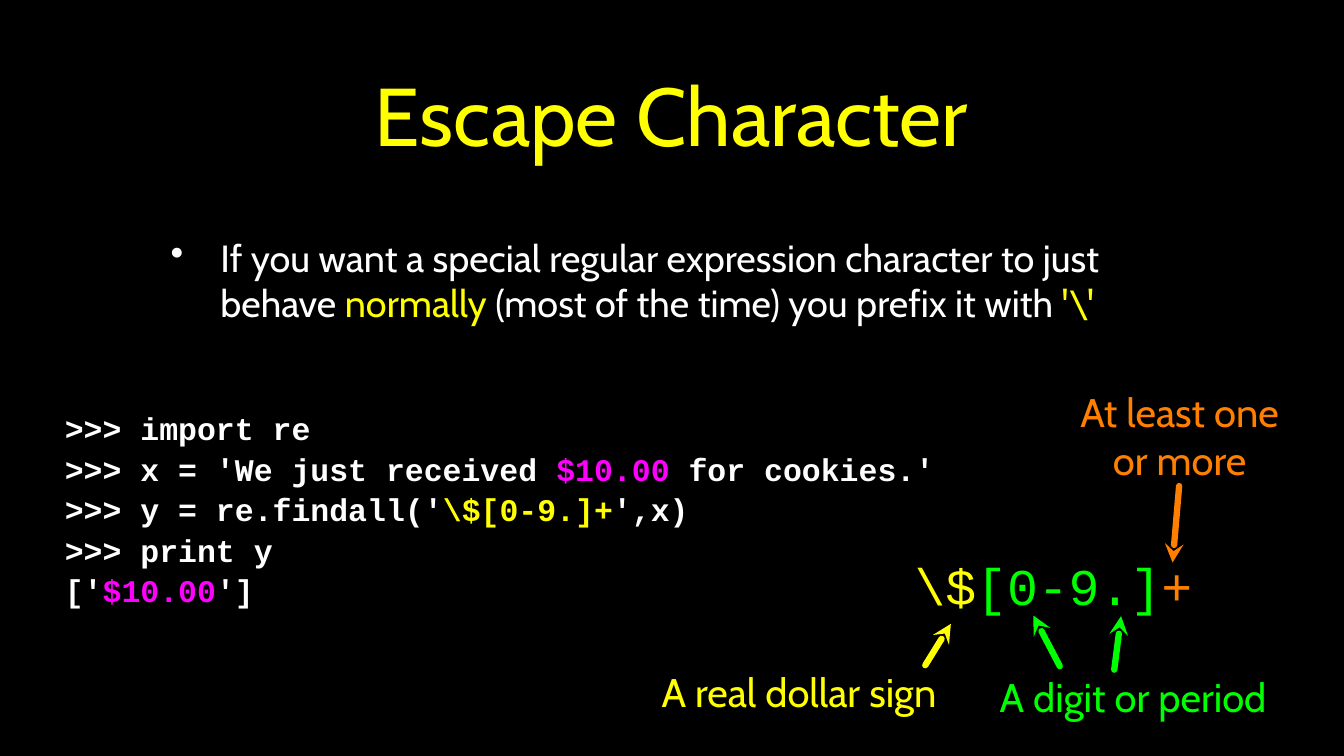
from lxml import etree
from pptx import Presentation
from pptx.dml.color import RGBColor
from pptx.enum.shapes import MSO_CONNECTOR
from pptx.enum.text import MSO_ANCHOR, PP_ALIGN
from pptx.oxml.ns import qn
from pptx.util import Cm, Pt

STRAIGHT = MSO_CONNECTOR.STRAIGHT
MIDDLE = MSO_ANCHOR.MIDDLE
LEFT = PP_ALIGN.LEFT
CENTER = PP_ALIGN.CENTER

BLACK = "000000"
WHITE = "FFFFFF"
YELLOW = "FFFF00"
GREEN = "00FF00"
ORANGE = "FF7F00"
MAGENTA = "FF00FF"


def color(value):
    return RGBColor.from_string(value)


class SlideBuilder:
    body_font = "Cabin"
    code_font = "Courier New"
    label_size = 38
    arrow_width = 6

    def __init__(self, slide):
        self.slide = slide
        fill = slide.background.fill
        fill.solid()
        fill.fore_color.rgb = color(BLACK)

    def text(self, box, lines, size, font=body_font, align=LEFT, bold=False,
             inset=0, spacing=1.0):
        shape = self.slide.shapes.add_textbox(*map(Cm, box))
        frame = shape.text_frame
        frame.word_wrap = True
        frame.vertical_anchor = MIDDLE
        frame.margin_left = frame.margin_right = Cm(inset)
        frame.margin_top = frame.margin_bottom = Cm(inset)
        for index, line in enumerate(lines):
            paragraph = frame.add_paragraph() if index else frame.paragraphs[0]
            paragraph.alignment = align
            paragraph.line_spacing = spacing
            for wording, run_color in line:
                run = paragraph.add_run()
                run.text = wording
                run.font.name = font
                run.font.size = Pt(size)
                run.font.bold = bold
                run.font.color.rgb = color(run_color)
        return frame

    def bullet(self, box, line, size, inset):
        frame = self.text(box, [line], size, inset=inset)
        properties = frame.paragraphs[0]._p.get_or_add_pPr()
        properties.set("marL", str(Cm(3.07)))
        properties.set("indent", str(Cm(-1.68)))
        bullet_color = etree.SubElement(properties, qn("a:buClr"))
        etree.SubElement(bullet_color, qn("a:srgbClr"), val=WHITE)
        etree.SubElement(properties, qn("a:buChar"), char="•")

    def label(self, box, wording, label_color):
        self.text(box, [[(wording, label_color)]], self.label_size, align=CENTER)

    def arrow(self, tip, tail, line_color):
        connector = self.slide.shapes.add_connector(STRAIGHT, *map(Cm, tip + tail))
        connector.line.color.rgb = color(line_color)
        connector.line.width = Pt(self.arrow_width)
        line = connector.line._get_or_add_ln()
        line.set("cap", "rnd")
        etree.SubElement(line, qn("a:round"))
        etree.SubElement(line, qn("a:headEnd"), type="stealth")
        etree.SubElement(connector._element.spPr, qn("a:effectLst"))


def main():
    presentation = Presentation()
    presentation.slide_width = Cm(45.16)
    presentation.slide_height = Cm(25.4)
    builder = SlideBuilder(presentation.slides.add_slide(presentation.slide_layouts[6]))

    builder.text((4.19, 0.66, 36.75, 6.35), [[("Escape Character", YELLOW)]],
                 78, align=CENTER, inset=0.15)
    builder.bullet((4.19, 7.19, 36.75, 4.45), [
        ("If you want a special regular expression character to just behave ", WHITE),
        ("normally", YELLOW),
        (" (most of the time) you prefix it with ", WHITE),
        ("'\\'", YELLOW),
    ], 36, inset=0.15)

    code = [
        [(">>> import re", WHITE)],
        [(">>> x = 'We just received ", WHITE), ("$10.00", MAGENTA),
         (" for cookies.'", WHITE)],
        [(">>> y = re.findall('", WHITE), ("\\$[0-9.]+", YELLOW), ("',x)", WHITE)],
        [(">>> print y", WHITE)],
        [("['", WHITE), ("$10.00", MAGENTA), ("']", WHITE)],
    ]
    builder.text((2.18, 13, 30.07, 8.13), code, 30, builder.code_font,
                 bold=True, spacing=1.07)
    pattern = [("\\$", YELLOW), ("[0-9.]", GREEN), ("+", ORANGE)]
    builder.text((30.73, 18.52, 9.5, 2.26), [pattern], 49, builder.code_font)

    builder.label((33.35, 22.5, 9.45, 1.83), "A digit or period", GREEN)
    builder.label((22.1, 22.33, 9.5, 1.83), "A real dollar sign", YELLOW)
    builder.label((35.64, 12.95, 8, 3.38), "At least one or more", ORANGE)

    builder.arrow((31.95, 20.96), (31.09, 22.35), YELLOW)
    builder.arrow((34.72, 20.68), (35.61, 22.38), GREEN)
    builder.arrow((37.67, 20.7), (37.44, 22.5), GREEN)
    builder.arrow((39.4, 18.9), (39.62, 16.33), ORANGE)

    presentation.save("out.pptx")


if __name__ == "__main__":
    main()
